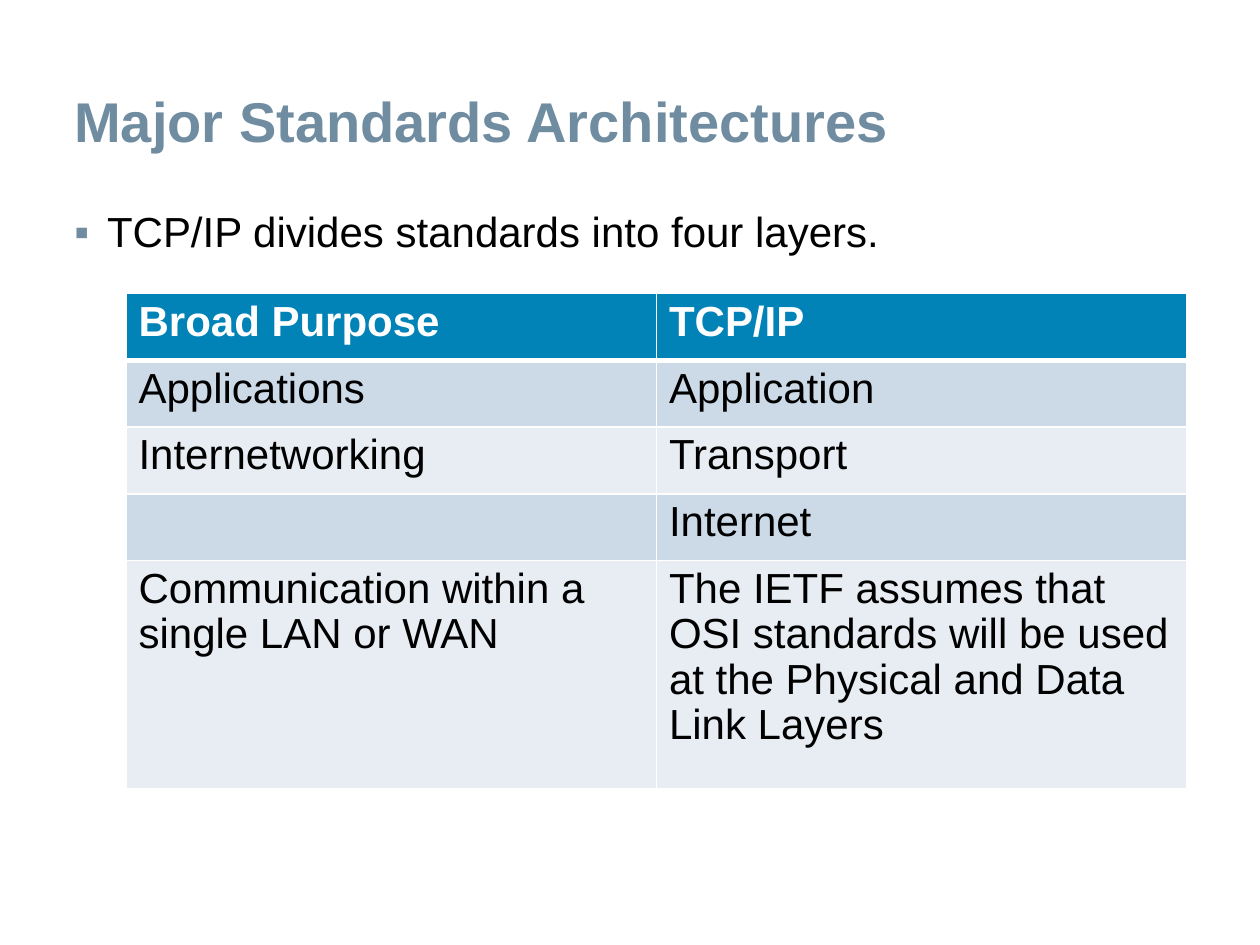
from lxml.etree import SubElement
from pptx import Presentation
from pptx.dml.color import RGBColor
from pptx.enum.text import MSO_ANCHOR, PP_ALIGN
from pptx.oxml.ns import qn
from pptx.util import Inches, Pt

TITLE = "Major Standards Architectures"
BULLET = "TCP/IP divides standards into four layers."
LAYERS = [
    ("Broad Purpose", "TCP/IP"),
    ("Applications", "Application"),
    ("Internetworking", "Transport"),
    ("", "Internet"),
    ("Communication within a single LAN or WAN",
     "The IETF assumes that OSI standards will be used "
     "at the Physical and Data Link Layers"),
]
COLUMN_WIDTH = 4.21
ROW_HEIGHTS = [0.53] * 4 + [1.81]
FONT = "Arial"
COLORS = {"slate": "708CA1", "black": "000000", "white": "FFFFFF",
          "header": "0183B7", "odd": "CCD9E6", "even": "E7EDF3"}


def color(name):
    return RGBColor.from_string(COLORS[name])


def write(frame, text, size, ink, bold=False, spacing=1.0):
    frame.text = text
    frame.word_wrap = True
    para = frame.paragraphs[0]
    para.alignment = PP_ALIGN.LEFT
    para.line_spacing = spacing
    para.font.size = Pt(size)
    for span in para.runs:
        span.font.name = FONT
        span.font.size = Pt(size)
        span.font.bold = bold
        span.font.color.rgb = color(ink)
    return para


def add_text(page, place, text, *style, **options):
    box = page.shapes.add_textbox(*map(Inches, place))
    frame = box.text_frame
    frame.margin_left = frame.margin_right = Inches(0.09)
    frame.margin_top = frame.margin_bottom = Inches(0.04)
    return frame, write(frame, text, *style, **options)


def add_bullet(para, mark, ink, indent):
    props = para._p.get_or_add_pPr()
    props.set("marL", str(Inches(indent)))
    props.set("indent", str(-Inches(indent)))
    tint = SubElement(props, qn("a:buClr"))
    SubElement(tint, qn("a:srgbClr"), val=COLORS[ink])
    SubElement(props, qn("a:buFont"), typeface=FONT)
    SubElement(props, qn("a:buChar"), char=mark)


def set_borders(cell, widths):
    props = cell._tc.get_or_add_tcPr()
    for position, (side, width) in enumerate(widths.items()):
        line = props.makeelement(qn(f"a:ln{side}"), {"w": str(Pt(width))})
        fill = SubElement(line, qn("a:solidFill"))
        SubElement(fill, qn("a:srgbClr"), val=COLORS["white"])
        props.insert(position, line)


deck = Presentation()
deck.slide_width, deck.slide_height = Inches(10), Inches(7.5)
page = deck.slides.add_slide(deck.slide_layouts[6])

# Bullet and title
_, para = add_text(page, (0.5, 1.62, 9, 1.13), BULLET, 24, "black", spacing=0.95)
para.space_before = Pt(3)
add_bullet(para, "▪", "slate", 0.26)
frame, _ = add_text(page, (0.5, 0.35, 9.3, 0.92), TITLE, 32, "slate",
                    bold=True, spacing=0.9)
frame.vertical_anchor = MSO_ANCHOR.BOTTOM

# Table of layers
table = page.shapes.add_table(
    len(LAYERS), 2, Inches(1), Inches(2.33),
    Inches(2 * COLUMN_WIDTH), Inches(sum(ROW_HEIGHTS))).table
for column in table.columns:
    column.width = Inches(COLUMN_WIDTH)
for r, (texts, height) in enumerate(zip(LAYERS, ROW_HEIGHTS)):
    table.rows[r].height = Inches(height)
    header = r == 0
    band = "header" if header else "odd" if r % 2 else "even"
    for c, text in enumerate(texts):
        cell = table.cell(r, c)
        write(cell.text_frame, text, 24, "white" if header else "black",
              bold=header, spacing=0.97)
        cell.fill.solid()
        cell.fill.fore_color.rgb = color(band)
        set_borders(cell, {"L": 1, "R": 1, "T": 3 if r == 1 else 1,
                           "B": 3 if header else 1})

deck.save("out.pptx")
